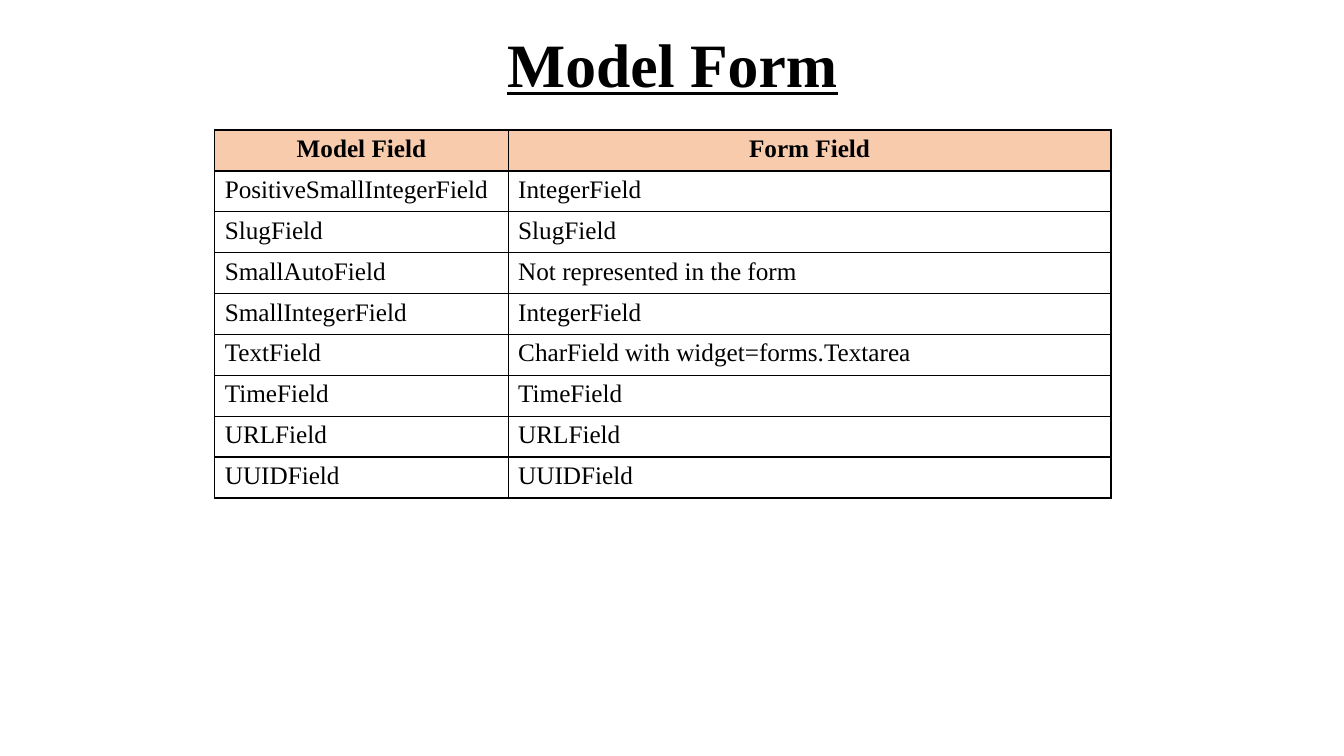
import lxml.etree
import pptx
import pptx.dml.color
import pptx.enum.text
import pptx.oxml
import pptx.util

Inches = pptx.util.Inches
FONT = "Times New Roman"
BLACK = "000000"
HEADER_FILL = "F8CBAD"
NAMESPACE = "http://schemas.openxmlformats.org/drawingml/2006/main"
CENTER = pptx.enum.text.PP_ALIGN.CENTER
LEFT = pptx.enum.text.PP_ALIGN.LEFT

FIELDS = [
    ("Model Field", "Form Field"),
    ("PositiveSmallIntegerField", "IntegerField"),
    ("SlugField", "SlugField"),
    ("SmallAutoField", "Not represented in the form"),
    ("SmallIntegerField", "IntegerField"),
    ("TextField", "CharField with widget=forms.Textarea"),
    ("TimeField", "TimeField"),
    ("URLField", "URLField"),
    ("UUIDField", "UUIDField"),
]
COLUMN_WIDTHS = [2.91, 5.98]
TABLE_HEIGHT = 3.65


def color(hex_string):
    return pptx.dml.color.RGBColor.from_string(hex_string)


def add_run(paragraph, text, size, bold):
    run = paragraph.add_run()
    run.text = text
    run.font.name = FONT
    run.font.size = pptx.util.Pt(size)
    run.font.bold = bold
    run.font.color.rgb = color(BLACK)
    return run


presentation = pptx.Presentation()
presentation.slide_width = Inches(13.33)
presentation.slide_height = Inches(7.5)
slide = presentation.slides.add_slide(presentation.slide_layouts[6])

# Title
title = slide.shapes.add_textbox(Inches(0.67), Inches(0.04), Inches(12), Inches(1.25))
title.text_frame.word_wrap = True
title.text_frame.vertical_anchor = pptx.enum.text.MSO_ANCHOR.MIDDLE
paragraph = title.text_frame.paragraphs[0]
paragraph.alignment = CENTER
paragraph.line_spacing = 0.9
add_run(paragraph, "Model Form", 44, True).font.underline = True

# Field table
table = slide.shapes.add_table(
    len(FIELDS), len(COLUMN_WIDTHS), Inches(2.13), Inches(1.29),
    Inches(sum(COLUMN_WIDTHS)), Inches(TABLE_HEIGHT),
).table
table.horz_banding = False
for column, width in zip(table.columns, COLUMN_WIDTHS):
    column.width = Inches(width)

for row_index, names in enumerate(FIELDS):
    is_header = row_index == 0
    table.rows[row_index].height = Inches(TABLE_HEIGHT / len(FIELDS))
    for column_index, name in enumerate(names):
        cell = table.cell(row_index, column_index)
        paragraph = cell.text_frame.paragraphs[0]
        paragraph.alignment = CENTER if is_header else LEFT
        add_run(paragraph, name, 18, is_header)

        # Borders come before the fill in the cell properties
        properties = cell._tc.get_or_add_tcPr()
        for side in ("lnL", "lnR", "lnT", "lnB"):
            properties.append(pptx.oxml.parse_xml(
                f'<a:{side} xmlns:a="{NAMESPACE}" w="12700"><a:solidFill>'
                f'<a:srgbClr val="{BLACK}"/></a:solidFill></a:{side}>'
            ))
        if is_header:
            fill = lxml.etree.SubElement(properties, f"{{{NAMESPACE}}}solidFill")
            lxml.etree.SubElement(fill, f"{{{NAMESPACE}}}srgbClr", val=HEADER_FILL)
        else:
            lxml.etree.SubElement(properties, f"{{{NAMESPACE}}}noFill")

presentation.save("out.pptx")
